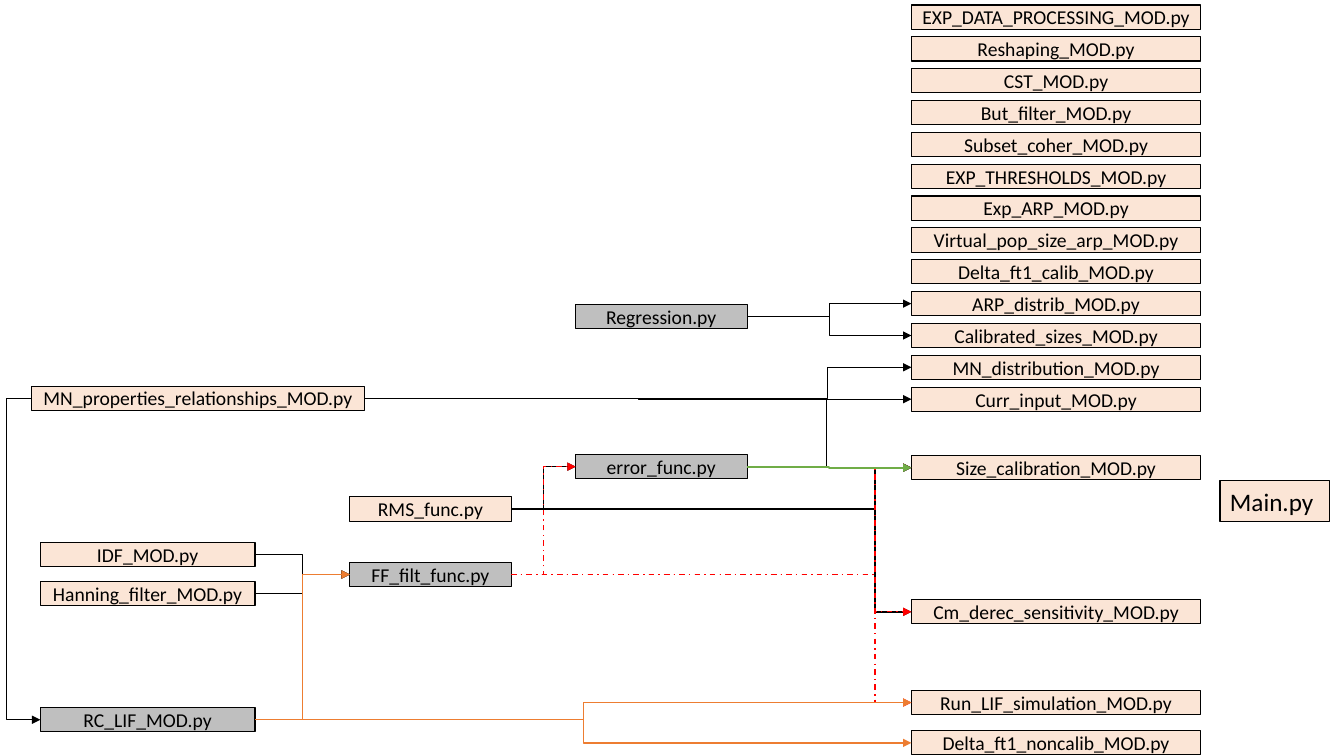
import pptx
import pptx.dml.color
import pptx.enum.dml
import pptx.enum.shapes
import pptx.enum.text
import pptx.oxml
import pptx.util
from dataclasses import dataclass

Inches = pptx.util.Inches
Pt = pptx.util.Pt
Align = pptx.enum.text.PP_ALIGN
LEFT_SITE, RIGHT_SITE = 1, 3


@dataclass(frozen=True)
class Theme:
    font: str = "Calibri"
    module_size: int = 14
    main_size: int = 18
    ink: str = "000000"
    module: str = "FBE5D6"
    function: str = "BFBFBF"
    red: str = "FF0000"
    orange: str = "ED7D31"
    green: str = "70AD47"
    outline: float = 0.75


THEME = Theme()
BOX_HEIGHT = 0.24

# Right-hand column: the first modules are evenly spaced, the rest are placed
COLUMN_LEFT, COLUMN_WIDTH = 9.04, 2.87
COLUMN_TOP, COLUMN_PITCH = 0.05, 3.79 / 12
STACKED = [
    "EXP_DATA_PROCESSING_MOD.py", "Reshaping_MOD.py", "CST_MOD.py",
    "But_filter_MOD.py", "Subset_coher_MOD.py", "EXP_THRESHOLDS_MOD.py",
    "Exp_ARP_MOD.py", "Virtual_pop_size_arp_MOD.py",
    "Delta_ft1_calib_MOD.py", "ARP_distrib_MOD.py",
    "Calibrated_sizes_MOD.py", "MN_distribution_MOD.py", "Curr_input_MOD.py",
]
PLACED = {
    "Size_calibration_MOD.py": 4.52,
    "Cm_derec_sensitivity_MOD.py": 5.95,
    "Run_LIF_simulation_MOD.py": 6.85,
    "Delta_ft1_noncalib_MOD.py": 7.25,
}

# Supporting files: name, left, top, width, fill
SUPPORT = [
    ("MN_properties_relationships_MOD.py", 0.31, 3.83, 3.31, THEME.module),
    ("IDF_MOD.py", 0.4, 5.38, 2.13, THEME.module),
    ("Hanning_filter_MOD.py", 0.4, 5.77, 2.13, THEME.module),
    ("RC_LIF_MOD.py", 0.4, 7.02, 2.13, THEME.function),
    ("RMS_func.py", 3.47, 4.93, 1.6, THEME.module),
    ("FF_filt_func.py", 3.47, 5.58, 1.6, THEME.function),
    ("Regression.py", 5.71, 3.02, 1.7, THEME.function),
    ("error_func.py", 5.71, 4.51, 1.7, THEME.function),
]

# Line styles: colour, width, dashed
THIN = (THEME.ink, 0.5, False)
BLACK = (THEME.ink, 1, False)
RED = (THEME.red, 1, True)
ORANGE = (THEME.orange, 1, False)
GREEN = (THEME.green, 1.5, False)

# Links: source, style, {target: x of the bend, None for halfway}
LINKS = [
    ("RMS_func.py", BLACK, {
        "Cm_derec_sensitivity_MOD.py": 8.68, "Size_calibration_MOD.py": 8.68,
        "error_func.py": None}),
    ("MN_properties_relationships_MOD.py", THIN, {
        "MN_distribution_MOD.py": 8.21, "Curr_input_MOD.py": None}),
    ("Regression.py", THIN, {
        "ARP_distrib_MOD.py": None, "Calibrated_sizes_MOD.py": None}),
    ("FF_filt_func.py", RED, {
        "Size_calibration_MOD.py": 8.68, "Cm_derec_sensitivity_MOD.py": 8.68,
        "Run_LIF_simulation_MOD.py": 8.68, "error_func.py": None}),
    ("RC_LIF_MOD.py", ORANGE, {
        "Delta_ft1_noncalib_MOD.py": None, "Run_LIF_simulation_MOD.py": None}),
    ("Hanning_filter_MOD.py", THIN, {"FF_filt_func.py": None}),
    ("IDF_MOD.py", THIN, {"FF_filt_func.py": None}),
    ("RC_LIF_MOD.py", ORANGE, {"FF_filt_func.py": None}),
    ("MN_properties_relationships_MOD.py", THIN, {
        "Size_calibration_MOD.py": 8.2}),
    ("error_func.py", GREEN, {"Size_calibration_MOD.py": None}),
]


def apply(target, values):
    for name, value in values.items():
        setattr(target, name, value)


def rgb(colour):
    return pptx.dml.color.RGBColor.from_string(colour)


def add_box(page, name, left, top, width, fill, height=BOX_HEIGHT,
            size=THEME.module_size, align=Align.CENTER, wrap=False):
    box = page.shapes.add_shape(
        pptx.enum.shapes.MSO_SHAPE.RECTANGLE,
        Inches(left), Inches(top), Inches(width), Inches(height))
    box.shadow.inherit = False
    box.fill.solid()
    box.fill.fore_color.rgb = rgb(fill)
    box.line.color.rgb = rgb(THEME.ink)
    box.line.width = Pt(THEME.outline)
    apply(box.text_frame, {
        "word_wrap": wrap, "margin_top": 0, "margin_bottom": 0,
        "margin_left": Inches(0.1), "margin_right": Inches(0.1),
        "vertical_anchor": pptx.enum.text.MSO_ANCHOR.MIDDLE})
    para = box.text_frame.paragraphs[0]
    para.alignment = align
    span = para.add_run()
    span.text = name
    apply(span.font, {"name": THEME.font, "size": Pt(size)})
    span.font.color.rgb = rgb(THEME.ink)
    return box


def add_link(page, source, target, style, bend=None, source_site=RIGHT_SITE):
    colour, width, dashed = style
    link = page.shapes.add_connector(
        pptx.enum.shapes.MSO_CONNECTOR.ELBOW, 0, 0, 0, 0)
    link.begin_connect(source, source_site)
    link.end_connect(target, LEFT_SITE)
    link.line.color.rgb = rgb(colour)
    link.line.width = Pt(width)
    if dashed:
        link.line.dash_style = pptx.enum.dml.MSO_LINE.DASH_DOT
    properties = link._element.spPr
    # Bend position as a share of the horizontal run
    if bend is not None:
        share = (Inches(bend) - link.begin_x) / (link.end_x - link.begin_x)
        guides = properties.prstGeom.get_or_add_avLst()
        guide = pptx.oxml.parse_xml(
            '<a:gd xmlns:a="http://schemas.openxmlformats.org/drawingml/2006/main"'
            f' name="adj1" fmla="val {round(share * 100000)}"/>')
        guides.append(guide)
    # Arrowhead and no shadow
    namespace = pptx.oxml.ns.qn
    outline = link.line._get_or_add_ln()
    outline.append(outline.makeelement(namespace("a:tailEnd"), {"type": "triangle"}))
    properties.append(properties.makeelement(namespace("a:effectLst"), {}))


def main():
    deck = pptx.Presentation()
    apply(deck, {"slide_width": Inches(13.33), "slide_height": Inches(7.5)})
    page = deck.slides.add_slide(deck.slide_layouts[6])

    # Modules in the right-hand column
    tops = {name: COLUMN_TOP + row * COLUMN_PITCH
            for row, name in enumerate(STACKED)}
    tops.update(PLACED)
    boxes = {name: add_box(page, name, COLUMN_LEFT, top, COLUMN_WIDTH, THEME.module)
             for name, top in tops.items()}

    # Supporting files and the main program
    for name, left, top, width, fill in SUPPORT:
        boxes[name] = add_box(page, name, left, top, width, fill)
    add_box(page, "Main.py", 12.1, 4.77, 1.09, THEME.module, height=0.4,
            size=THEME.main_size, align=Align.LEFT, wrap=True)

    # Links, the last one running round the left edge
    for source, style, targets in LINKS:
        for target, bend in targets.items():
            add_link(page, boxes[source], boxes[target], style, bend)
    add_link(page, boxes["MN_properties_relationships_MOD.py"],
             boxes["RC_LIF_MOD.py"], THIN, bend=0.06, source_site=LEFT_SITE)

    deck.save("out.pptx")


main()
